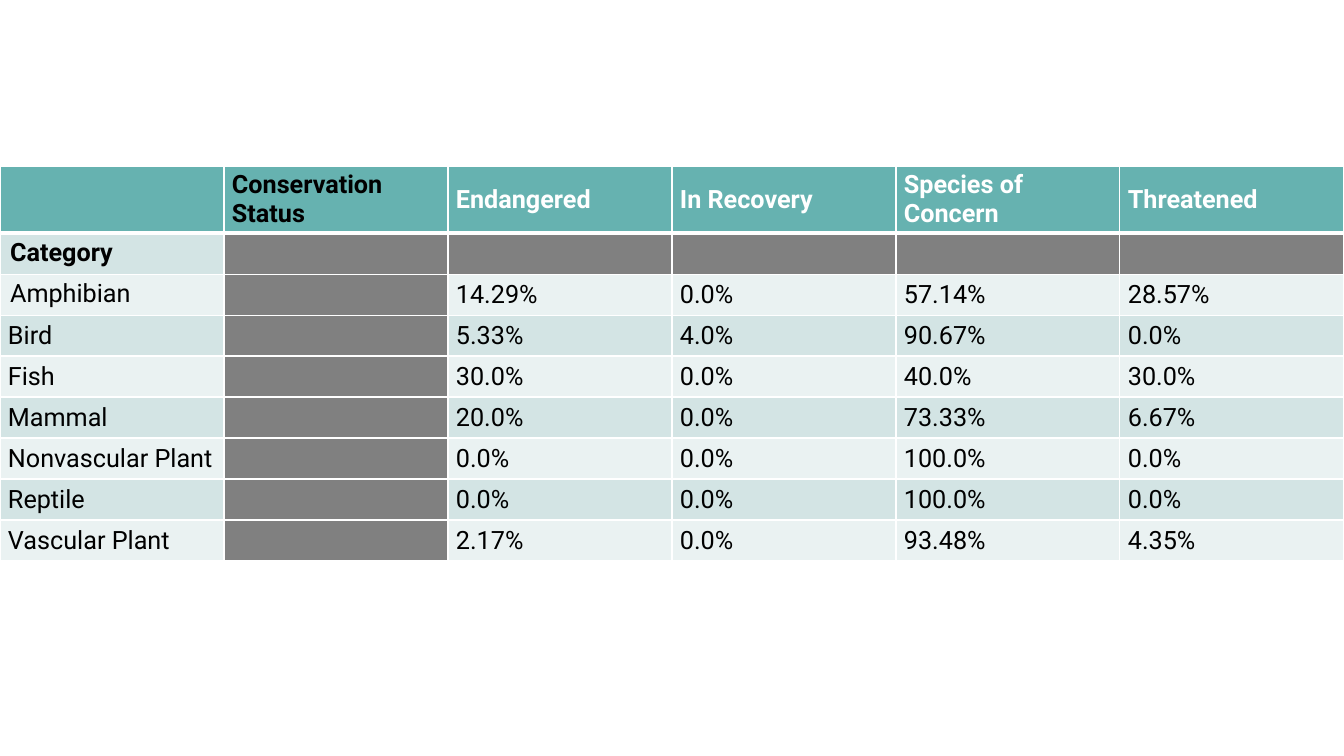
from dataclasses import dataclass

from lxml import etree
from pptx import Presentation
from pptx import util as u
from pptx.dml.color import RGBColor
from pptx.enum import text
from pptx.oxml.ns import qn

PX = 914400 / 100.8


@dataclass(frozen=True)
class Theme:
    """Colours, font and type size of the slide."""
    font: str = "Roboto"
    size: int = 18
    header: str = "66B2B0"
    bands: tuple = ("EAF2F2", "D3E4E4")
    blank: str = "808080"
    dark: str = "000000"
    light: str = "FFFFFF"


THEME = Theme()

HEADERS = ["", "Conservation Status", "Endangered", "In Recovery",
           "Species of Concern", "Threatened"]
CATEGORIES = [
    ("Amphibian", "14.29%", "0.0%", "57.14%", "28.57%"),
    ("Bird", "5.33%", "4.0%", "90.67%", "0.0%"),
    ("Fish", "30.0%", "0.0%", "40.0%", "30.0%"),
    ("Mammal", "20.0%", "0.0%", "73.33%", "6.67%"),
    ("Nonvascular Plant", "0.0%", "0.0%", "100.0%", "0.0%"),
    ("Reptile", "0.0%", "0.0%", "100.0%", "0.0%"),
    ("Vascular Plant", "2.17%", "0.0%", "93.48%", "4.35%"),
]


def px(n):
    """Turn pixels into EMU."""
    return u.Emu(round(n * PX))


def set_borders(cell, top=1, bottom=1):
    """Draw light borders with the given top and bottom widths in points."""
    tcPr = cell._tc.get_or_add_tcPr()
    widths = {"lnL": 1, "lnR": 1, "lnT": top, "lnB": bottom}
    for i, (side, width) in enumerate(widths.items()):
        ln = etree.Element(qn(f"a:{side}"), w=str(u.Pt(width)))
        fill = etree.SubElement(ln, qn("a:solidFill"))
        etree.SubElement(fill, qn("a:srgbClr"), val=THEME.light)
        tcPr.insert(i, ln)


def set_cell(cell, label, fill, color=THEME.dark, bold=False):
    """Fill a cell and style its text."""
    cell.fill.solid()
    cell.fill.fore_color.rgb = RGBColor.from_string(fill)
    p = cell.text_frame.paragraphs[0]
    p.text = label
    p.font.size = u.Pt(THEME.size)
    for r in p.runs:
        r.font.name = THEME.font
        r.font.size = u.Pt(THEME.size)
        r.font.bold = bold
        r.font.color.rgb = RGBColor.from_string(color)


def set_compact(cell):
    """Centre a cell vertically with narrow margins."""
    cell.vertical_anchor = text.MSO_ANCHOR.MIDDLE
    cell.margin_left = cell.margin_right = px(8)
    cell.margin_top = cell.margin_bottom = px(4)


def add_status_table(s):
    """Add the table of conservation status by category."""
    rows = [HEADERS, ["Category"] + [""] * 5]
    rows += [[name, "", *shares] for name, *shares in CATEGORIES]
    table = s.shapes.add_table(len(rows), len(HEADERS), 0, px(166),
                               px(1344), px(41 * len(rows))).table
    table.horz_banding = False
    for i, row in enumerate(rows):
        table.rows[i].height = px(41)
        for j, label in enumerate(row):
            cell = table.cell(i, j)
            if i == 0:
                color = THEME.light if j > 1 else THEME.dark
                set_cell(cell, label, THEME.header, color, bold=True)
            else:
                fill = THEME.bands[i % 2] if label else THEME.blank
                set_cell(cell, label, fill, bold=i == 1)
            if label and (j > 0 or i > 2):
                set_compact(cell)
            set_borders(cell, top=3 if i == 1 else 1, bottom=3 if i == 0 else 1)


def main():
    """Build and save the slide."""
    prs = Presentation()
    prs.slide_width, prs.slide_height = px(1344), px(756)
    s = prs.slides.add_slide(prs.slide_layouts[6])
    add_status_table(s)
    prs.save("out.pptx")


if __name__ == "__main__":
    main()
